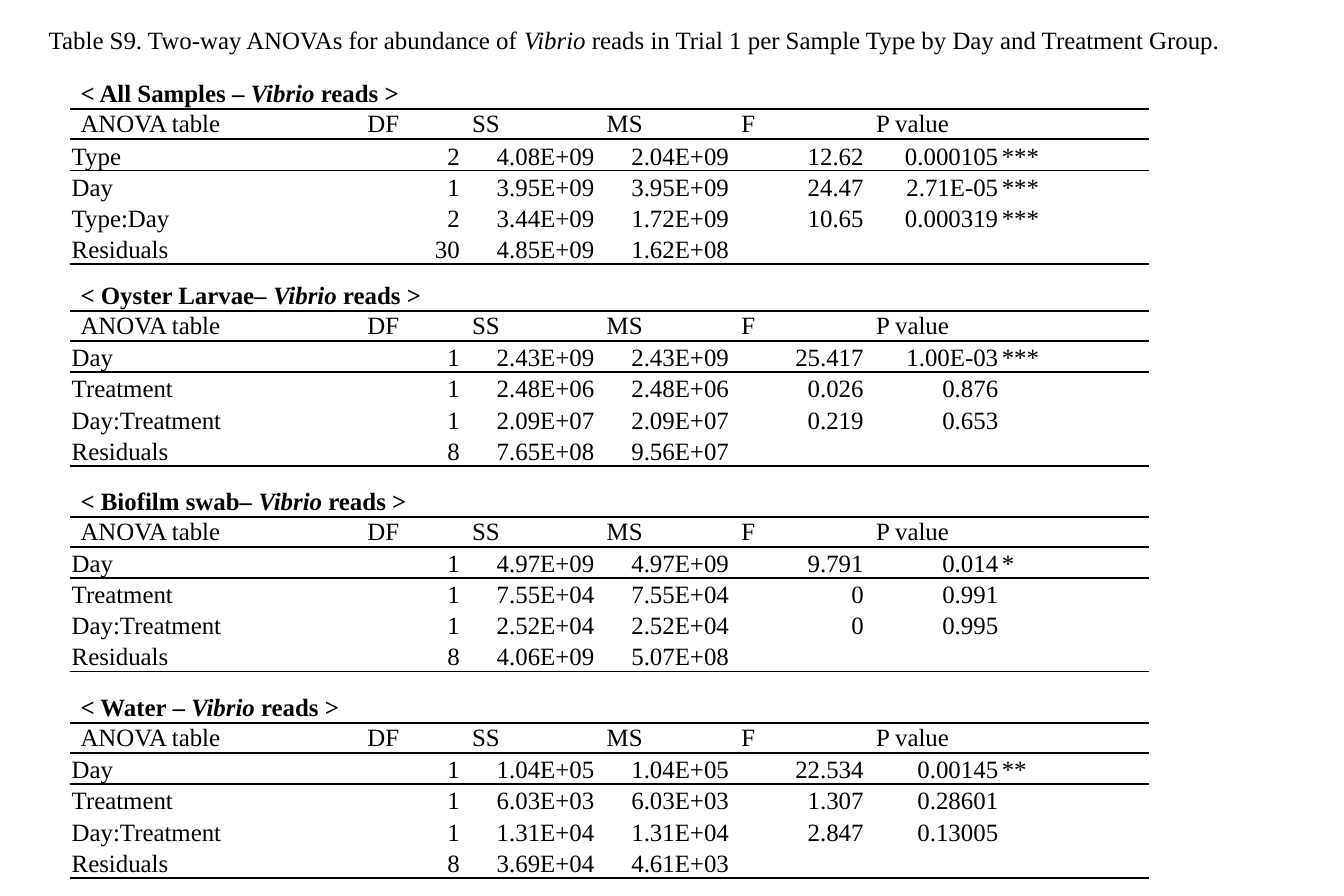
import pptx
import pptx.util
import pptx.dml.color
import pptx.enum.text
import pptx.oxml
import pptx.oxml.ns

Cm = pptx.util.Cm
Pt = pptx.util.Pt
ALIGN = pptx.enum.text.PP_ALIGN
ANCHOR = pptx.enum.text.MSO_ANCHOR
NO_GRID = "{2D5ABB26-0587-4C30-8999-92F81FD0307C}"
WIDTHS = [4.88, 1.78, 2.29, 2.29, 2.29, 2.29, 2.54]
HEADS = ["ANOVA table", "DF", "SS", "MS", "F", "P value", ""]

TABLES = [
    (1.35, "< All Samples – ", [
        ["Type", "2", "4.08E+09", "2.04E+09", "12.62", "0.000105", "***"],
        ["Day", "1", "3.95E+09", "3.95E+09", "24.47", "2.71E-05", "***"],
        ["Type:Day", "2", "3.44E+09", "1.72E+09", "10.65", "0.000319", "***"],
        ["Residuals", "30", "4.85E+09", "1.62E+08", "", "", ""]]),
    (4.78, "< Oyster Larvae– ", [
        ["Day", "1", "2.43E+09", "2.43E+09", "25.417", "1.00E-03", "***"],
        ["Treatment", "1", "2.48E+06", "2.48E+06", "0.026", "0.876", ""],
        ["Day:Treatment", "1", "2.09E+07", "2.09E+07", "0.219", "0.653", ""],
        ["Residuals", "8", "7.65E+08", "9.56E+07", "", "", ""]]),
    (8.28, "< Biofilm swab– ", [
        ["Day", "1", "4.97E+09", "4.97E+09", "9.791", "0.014", "*"],
        ["Treatment", "1", "7.55E+04", "7.55E+04", "0", "0.991", ""],
        ["Day:Treatment", "1", "2.52E+04", "2.52E+04", "0", "0.995", ""],
        ["Residuals", "8", "4.06E+09", "5.07E+08", "", "", ""]]),
    (11.79, "< Water – ", [
        ["Day", "1", "1.04E+05", "1.04E+05", "22.534", "0.00145", "**"],
        ["Treatment", "1", "6.03E+03", "6.03E+03", "1.307", "0.28601", ""],
        ["Day:Treatment", "1", "1.31E+04", "1.31E+04", "2.847", "0.13005", ""],
        ["Residuals", "8", "3.69E+04", "4.61E+03", "", "", ""]]),
]


def color(code):
    return pptx.dml.color.RGBColor.from_string(code)


class Page:
    def __init__(self, slide):
        self.slide = slide
        self.face = "Times New Roman"
        self.size = 12
        self.ink = "000000"

    def runs(self, para, parts, bold=False):
        """Add one run per part; the middle one of three is italic."""
        for i, part in enumerate(parts):
            run = para.add_run()
            run.text = part
            font = run.font
            font.name = self.face
            font.size = Pt(self.size)
            font.bold = bold
            font.italic = i == 1
            font.color.rgb = color(self.ink)

    def text(self, left, top, width, height, parts):
        box = self.slide.shapes.add_textbox(Cm(left), Cm(top), Cm(width), Cm(height))
        frame = box.text_frame
        frame.word_wrap = True
        frame.auto_size = pptx.enum.text.MSO_AUTO_SIZE.SHAPE_TO_FIT_TEXT
        self.runs(frame.paragraphs[0], parts)

    def rule(self, cell, side):
        """Draw a 1 pt border on the top (T) or bottom (B) of a cell."""
        space = pptx.oxml.ns.nsdecls("a")
        cell._tc.get_or_add_tcPr().append(pptx.oxml.parse_xml(
            f'<a:ln{side} {space} w="12700"><a:solidFill>'
            f'<a:srgbClr val="{self.ink}"/></a:solidFill></a:ln{side}>'))

    def cell(self, cell, parts, head, right, sides, bold=False):
        side = 0.18 if head else 0.03
        cell.margin_left = cell.margin_right = Cm(side)
        cell.margin_top = Cm(0 if head else 0.02)
        cell.margin_bottom = Cm(0)
        cell.vertical_anchor = ANCHOR.MIDDLE if head else ANCHOR.BOTTOM
        for edge in sides:
            self.rule(cell, edge)
        cell.fill.background()
        para = cell.text_frame.paragraphs[0]
        para.alignment = ALIGN.RIGHT if right else ALIGN.LEFT
        if any(parts):
            self.runs(para, parts, bold)
        else:
            end = para._p.makeelement(pptx.oxml.ns.qn("a:endParaRPr"),
                                      {"sz": str(self.size * 100)})
            para._p.append(end)

    def table(self, left, top, title, rows):
        grid = [[title] + [""] * 6, HEADS] + rows
        last = len(grid) - 1
        high = [0.51, 0.51] + [0.53] * len(rows)
        frame = self.slide.shapes.add_table(
            len(grid), len(WIDTHS), Cm(left), Cm(top), Cm(sum(WIDTHS)), Cm(sum(high)))
        table = frame.table
        table.first_row = table.horz_banding = False
        table._tbl.tblPr.find(pptx.oxml.ns.qn("a:tableStyleId")).text = NO_GRID
        for col, width in zip(table.columns, WIDTHS):
            col.width = Cm(width)
        sides = {0: "B", 1: "TB", 2: "T", last: "B"}
        for r, row in enumerate(grid):
            table.rows[r].height = Cm(high[r])
            for c, word in enumerate(row):
                parts = [word, "Vibrio", " reads >"] if (r, c) == (0, 0) else [word]
                self.cell(table.cell(r, c), parts, r < 2, r > 1 and 0 < c < 6,
                          sides.get(r, ""), r == 0)
        table.cell(0, 0).merge(table.cell(0, 5))


def main():
    deck = pptx.Presentation()
    deck.slide_width, deck.slide_height = Cm(22.86), Cm(15.24)
    page = Page(deck.slides.add_slide(deck.slide_layouts[6]))
    page.text(0.58, 0.3, 21.69, 0.76, [
        "Table S9. Two-way ANOVAs for abundance of ", "Vibrio",
        " reads in Trial 1 per Sample Type by Day and Treatment Group."])
    for top, title, rows in TABLES:
        page.table(1.19, top, title, rows)
    deck.save("out.pptx")


if __name__ == "__main__":
    main()
